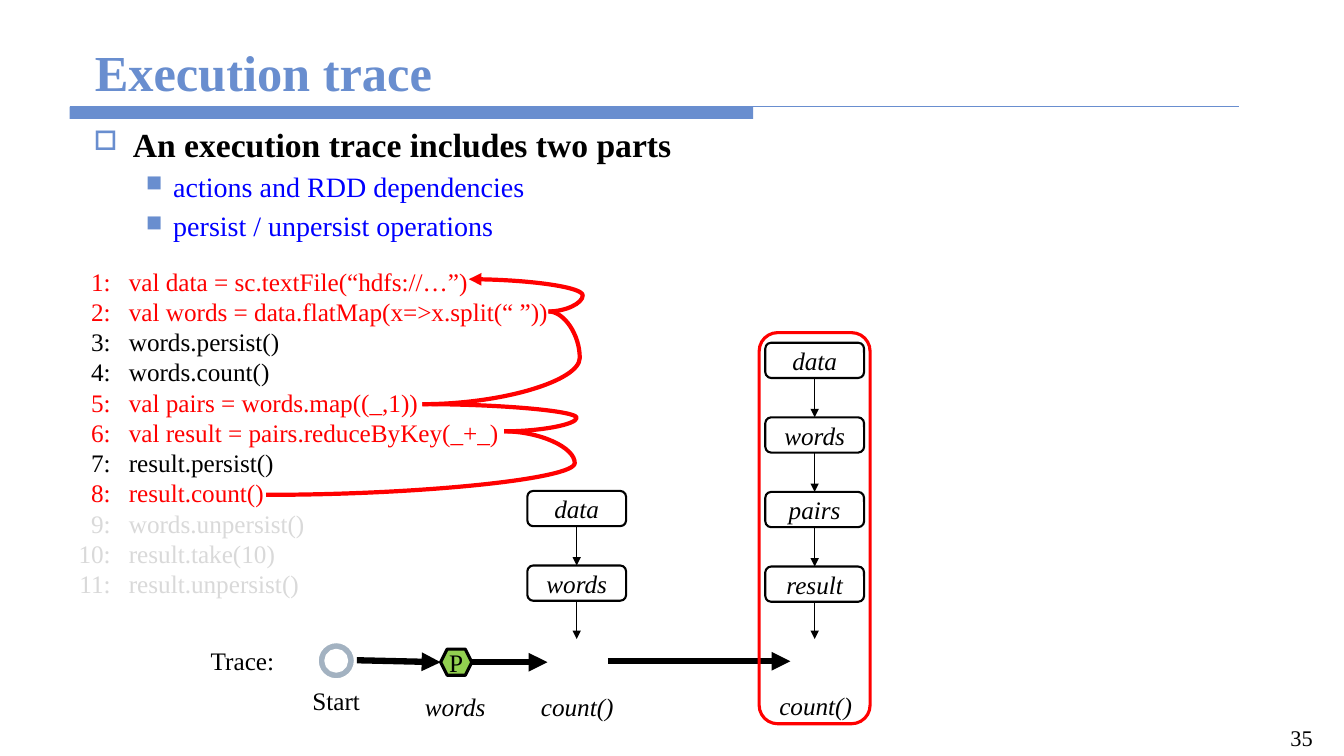
import pptx
import pptx.dml.color
import pptx.enum.shapes
import pptx.enum.text
import pptx.oxml.ns
import pptx.util
from lxml import etree
from pptx.util import Inches

FONT = "Times New Roman"
BLUE, RED, BLACK, GREY, WHITE = "698ECF", "FF0000", "000000", "D9D9D9", "FFFFFF"
SHAPES = pptx.enum.shapes.MSO_SHAPE
CONNECTORS = pptx.enum.shapes.MSO_CONNECTOR
ANCHORS = pptx.enum.text.MSO_ANCHOR
ALIGNS = pptx.enum.text.PP_ALIGN

CODE = [
    ("val data = sc.textFile(“hdfs://…”)", RED),
    ("val words = data.flatMap(x=>x.split(“ ”))", RED),
    ("words.persist()", BLACK),
    ("words.count()", BLACK),
    ("val pairs = words.map((_,1))", RED),
    ("val result = pairs.reduceByKey(_+_)", RED),
    ("result.persist()", BLACK),
    ("result.count()", RED),
    ("words.unpersist()", GREY),
    ("result.take(10)", GREY),
    ("result.unpersist()", GREY),
]
DEPENDENCIES = [
    ((2.64, 4.91), (5.0, 4.28), 5.7, False),
    ((5.0, 4.28), (4.19, 4.01), 5.72, False),
    ((4.19, 4.01), (5.44, 3.09), 5.75, False),
    ((5.44, 3.09), (4.65, 2.77), 5.78, True),
]
CAPTIONS = [
    ("Trace:", (1.99, 6.35, 0.83, 0.4), False),
    ("Start", (2.92, 6.75, 0.83, 0.4), False),
    ("words", (4.01, 6.83, 1.01, 0.35), True),
    ("count()", (5.22, 6.83, 1.01, 0.35), True),
    ("count()", (7.53, 6.8, 1.12, 0.4), True),
]


def rgb(color):
    """Turn a hex string into a colour."""
    return pptx.dml.color.RGBColor.from_string(color)


def add_xml(parent, tag, **attributes):
    """Append a drawing element to a parent element."""
    values = {name: str(value) for name, value in attributes.items()}
    return etree.SubElement(parent, pptx.oxml.ns.qn(tag), values)


def write(paragraph, text, size=18, color=BLACK, bold=False, italic=False,
          align=ALIGNS.CENTER, before=None):
    """Write one formatted paragraph."""
    paragraph.alignment = align
    if before is not None:
        paragraph.space_before = pptx.util.Pt(before)
    run = paragraph.add_run()
    run.text = text
    run.font.name = FONT
    run.font.size = pptx.util.Pt(size)
    run.font.bold = bold
    run.font.italic = italic
    run.font.color.rgb = rgb(color)


def add_text_area(slide, area, anchor=ANCHORS.TOP):
    """Add an empty wrapping text box and return its frame."""
    frame = slide.shapes.add_textbox(*map(Inches, area)).text_frame
    frame.word_wrap = True
    frame.vertical_anchor = anchor
    return frame


def next_paragraph(frame, index):
    """Return the first paragraph, or a new one after it."""
    return frame.add_paragraph() if index else frame.paragraphs[0]


def add_block(slide, kind, area, fill=None, line=None, width=1.5):
    """Add a preset shape without a shadow."""
    block = slide.shapes.add_shape(kind, *map(Inches, area))
    block.shadow.inherit = False
    if fill:
        block.fill.solid()
        block.fill.fore_color.rgb = rgb(fill)
    else:
        block.fill.background()
    if line:
        block.line.color.rgb = rgb(line)
        block.line.width = pptx.util.Pt(width)
    else:
        block.line.fill.background()
    return block


def label(block, text, italic=False, wrap=True):
    """Centre a label in a block."""
    block.text_frame.word_wrap = wrap
    block.text_frame.vertical_anchor = ANCHORS.MIDDLE
    write(block.text_frame.paragraphs[0], text, italic=italic)


def add_link(slide, start, end, color=BLACK, width=1, arrow=True, bulge=None):
    """Add a straight link, or a curved one that reaches out to bulge."""
    kind = CONNECTORS.STRAIGHT if bulge is None else CONNECTORS.CURVE
    link = slide.shapes.add_connector(kind, *map(Inches, (*start, *end)))
    link.line.color.rgb = rgb(color)
    link.line.width = pptx.util.Pt(width)
    properties = link._element.spPr
    if arrow:
        add_xml(link.line._get_or_add_ln(), "a:tailEnd", type="triangle")
    add_xml(properties, "a:effectLst")
    if bulge is not None:
        reach = round((bulge - start[0]) / (end[0] - start[0]) * 100000)
        guides = properties.find(pptx.oxml.ns.qn("a:prstGeom")).get_or_add_avLst()
        add_xml(guides, "a:gd", name="adj1", fmla=f"val {reach}")
    return link


def add_heading(slide):
    """Format the title and draw the rule below it."""
    title = slide.shapes.title
    title.left, title.top, title.width, title.height = map(Inches, (0.84, 0.33, 11.67, 0.73))
    title.text_frame.vertical_anchor = ANCHORS.BOTTOM
    title.text_frame.auto_size = pptx.enum.text.MSO_AUTO_SIZE.NONE
    write(title.text_frame.paragraphs[0], "Execution trace", size=36, color=BLUE,
          bold=True, align=ALIGNS.LEFT)
    add_block(slide, SHAPES.RECTANGLE, (0.69, 1.06, 6.78, 0.12), fill=BLUE)
    add_link(slide, (0.69, 1.06), (12.29, 1.06), color=BLUE, width=0.75, arrow=False)


def add_bullet(paragraph, symbol, margin, hang):
    """Give a paragraph a coloured bullet and a hanging indent."""
    properties = paragraph._p.get_or_add_pPr()
    properties.set("marL", str(Inches(margin)))
    properties.set("indent", str(-Inches(hang)))
    add_xml(add_xml(properties, "a:buClr"), "a:srgbClr", val=BLUE)
    add_xml(properties, "a:buSzPct", val=80000)
    add_xml(properties, "a:buChar", char=symbol)


def add_outline(slide):
    """Add the bulleted statement and its two parts."""
    frame = add_text_area(slide, (0.83, 1.18, 11.67, 1.4))
    statement = frame.paragraphs[0]
    write(statement, "An execution trace includes two parts", size=24, bold=True,
          align=ALIGNS.LEFT, before=4.8)
    add_bullet(statement, "□", 0.39, 0.39)
    for text in ("actions and RDD dependencies", "persist / unpersist operations"):
        part = frame.add_paragraph()
        part.level = 1
        write(part, text, size=20, color="0000FF", align=ALIGNS.LEFT, before=4)
        add_bullet(part, "■", 0.79, 0.27)


def add_code(slide):
    """Add the numbered program lines, aligned with tab stops."""
    frame = add_text_area(slide, (0.67, 2.59, 6.06, 3.43))
    for index, (statement, color) in enumerate(CODE):
        line = next_paragraph(frame, index)
        write(line, f"\t{index + 1}:\t{statement}", color=color, align=ALIGNS.LEFT)
        stops = add_xml(line._p.get_or_add_pPr(), "a:tabLst")
        add_xml(stops, "a:tab", pos=Inches(0.33), algn="r")
        add_xml(stops, "a:tab", pos=Inches(0.51), algn="l")


def add_chain(slide, center, top, names):
    """Stack dataset boxes joined by arrows down to the trace."""
    previous = None
    for index, name in enumerate(names):
        y = top + 0.74 * index
        dataset = add_block(slide, SHAPES.ROUNDED_RECTANGLE, (center - 0.49, y, 0.98, 0.35),
                            fill=WHITE, line=BLACK)
        label(dataset, name, italic=True)
        if previous is not None:
            link = add_link(slide, (center, y - 0.39), (center, y))
            link.begin_connect(previous, 2)
            link.end_connect(dataset, 0)
        previous = dataset
    add_link(slide, (center, y + 0.35), (center, 6.34)).begin_connect(previous, 2)


def add_trace(slide):
    """Draw the trace from its start to the second action."""
    add_block(slide, SHAPES.DONUT, (3.14, 6.36, 0.39, 0.39), fill="A3B2C1", line=WHITE, width=3)
    persist = add_block(slide, SHAPES.HEXAGON, (4.37, 6.44, 0.31, 0.26),
                        fill="92D050", line=BLACK, width=2.25)
    label(persist, "P", wrap=False)
    for start, end in (((3.54, 6.55), (4.37, 6.57)), ((4.68, 6.57), (5.43, 6.57)),
                       ((6.03, 6.56), (7.84, 6.56))):
        add_link(slide, start, end, width=4.5)
    for text, area, italic in CAPTIONS:
        frame = add_text_area(slide, area, ANCHORS.MIDDLE)
        write(frame.paragraphs[0], text, italic=italic)


def main():
    """Build the slide and save it."""
    deck = pptx.Presentation()
    deck.slide_width, deck.slide_height = Inches(13.33), Inches(7.5)
    slide = deck.slides.add_slide(deck.slide_layouts[5])
    add_heading(slide)
    add_outline(slide)
    write(add_text_area(slide, (12.49, 7.13, 0.84, 0.35)).paragraphs[0], "35", size=16)
    add_code(slide)
    for start, end, bulge, arrow in DEPENDENCIES:
        add_link(slide, start, end, color=RED, width=3, arrow=arrow, bulge=bulge)
    add_trace(slide)
    add_chain(slide, 5.72, 4.87, ("data", "words"))
    add_chain(slide, 8.08, 3.4, ("data", "words", "pairs", "result"))
    add_block(slide, SHAPES.ROUNDED_RECTANGLE, (7.53, 3.3, 1.1, 3.88), line=RED, width=2.25)
    deck.save("out.pptx")


if __name__ == "__main__":
    main()
